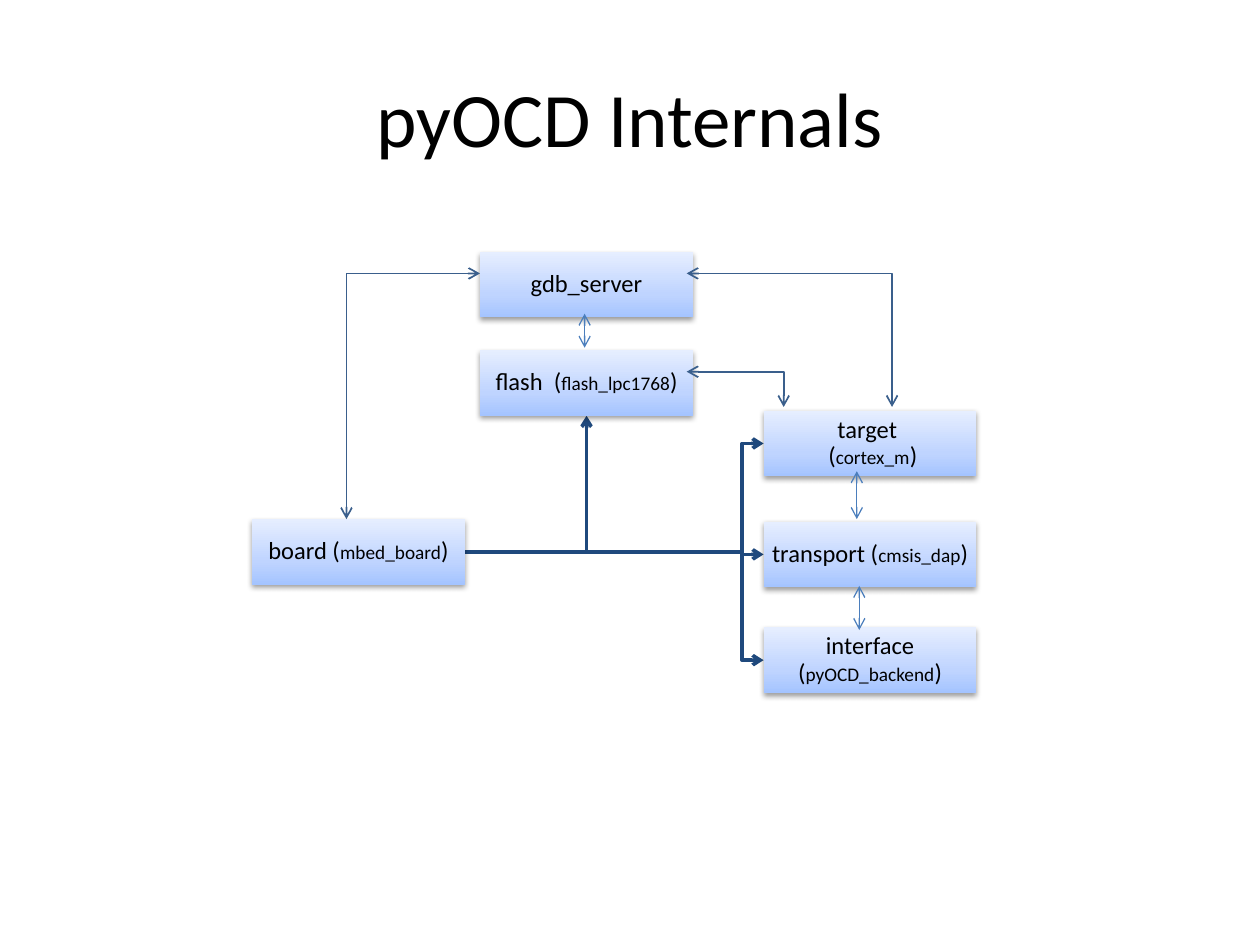
from copy import deepcopy
from dataclasses import dataclass

from lxml import etree
from pptx import Presentation
from pptx.dml.color import RGBColor
from pptx.enum import shapes, text
from pptx.oxml import parse_xml
from pptx.oxml.ns import nsdecls, qn
from pptx.util import Inches, Pt

Point = tuple[float, float]


@dataclass(frozen=True)
class Theme:
    font: str = "Calibri"
    ink: str = "000000"
    trunk: str = "1F497D"
    route: str = "3A5F8C"
    link: str = "4B7EBC"
    stops: tuple = ((0, "A4C4FF"), (35, "BFD4FF"), (100, "E6EEFF"))
    title: float = 44
    label: float = 14
    detail: float = 11


@dataclass(frozen=True)
class Box:
    left: float
    top: float
    label: str
    detail: str = ""
    width: float = 1.69
    height: float = 0.52

    @property
    def mid(self) -> float:
        return self.top + self.height / 2


@dataclass(frozen=True)
class Route:
    points: tuple[Point, ...]
    color: str
    weight: float
    double: bool = True


THEME = Theme()
RIGHT = 6.06
CENTER = 3.81
BOARD = Box(2, 4.12, "board (", "mbed_board")
TARGET = Box(RIGHT, 3.26, "target \n (", "cortex_m")
MOVER = Box(RIGHT, 4.14, "transport (", "cmsis_dap")
FACE = Box(RIGHT, 4.98, "interface\n(", "pyOCD_backend")
FLASH = Box(CENTER, 2.78, "flash  (", "flash_lpc1768")
SERVER = Box(CENTER, 2, "gdb_server")
BOXES = (BOARD, TARGET, MOVER, FACE, FLASH, SERVER)

START = (BOARD.left + BOARD.width, BOARD.mid)
BEND = 5.89
STEM = CENTER + FLASH.width / 2


def trunk(*points: Point) -> Route:
    return Route((START, *points), THEME.trunk, 2, False)


TRUNKS = (
    trunk((STEM, BOARD.mid), (STEM, FLASH.top + FLASH.height)),
    *(trunk((BEND, BOARD.mid), (BEND, box.mid), (RIGHT, box.mid))
      for box in (FACE, MOVER, TARGET)),
)
LINKS = tuple(
    Route(((x, top), (x, end)), THEME.link, 0.75)
    for x, top, end in ((4.64, 2.49, 2.76), (6.8, 3.74, 4.12), (6.82, 4.65, 5))
)
ROUTES = tuple(
    Route((start, (end[0], start[1]), end), THEME.route, 1)
    for start, end in (
        ((CENTER, 2.17), (2.75, BOARD.top)),
        ((5.45, 2.17), (7.08, 3.23)),
        ((5.45, 2.95), (6.22, 3.23)),
    )
)


def write(para, words: str, *, size: float, color: str = THEME.ink) -> None:
    for i, line in enumerate(words.split("\n")):
        if i:
            para.add_line_break()
            para._p.findall(qn("a:br"))[-1].append(deepcopy(run._r.rPr))
        run = para.add_run()
        run.text = line
        run.font.name = THEME.font
        run.font.size = Pt(size)
        run.font.color.rgb = RGBColor.from_string(color)


def shade(shape) -> None:
    shape.fill.gradient()
    shape.fill.gradient_angle = 90
    stops = shape._element.spPr.find(qn("a:gradFill")).find(qn("a:gsLst"))
    for stop in list(stops):
        stops.remove(stop)
    for pos, color in THEME.stops:
        stop = etree.SubElement(stops, qn("a:gs"), pos=str(pos * 1000))
        etree.SubElement(stop, qn("a:srgbClr"), val=color)
    shape.line.fill.background()
    shape._element.spPr.append(parse_xml(
        f'<a:effectLst {nsdecls("a")}>'
        '<a:outerShdw blurRad="40000" dist="20000" dir="5400000" rotWithShape="0">'
        '<a:srgbClr val="000000"><a:alpha val="38000"/></a:srgbClr>'
        '</a:outerShdw></a:effectLst>'))


def draw_box(slide, box: Box) -> None:
    shape = slide.shapes.add_shape(
        shapes.MSO_SHAPE.RECTANGLE, Inches(box.left), Inches(box.top),
        Inches(box.width), Inches(box.height))
    shade(shape)
    frame = shape.text_frame
    frame.word_wrap = True
    frame.vertical_anchor = text.MSO_ANCHOR.MIDDLE
    frame.margin_left = frame.margin_right = Inches(0.01)
    frame.margin_top = frame.margin_bottom = Inches(0.01)
    para = frame.paragraphs[0]
    para.alignment = text.PP_ALIGN.CENTER
    para.line_spacing = 0.9
    write(para, box.label, size=THEME.label)
    if box.detail:
        write(para, box.detail, size=THEME.detail)
        write(para, ")", size=THEME.label)


def draw_route(slide, route: Route) -> None:
    points = [(Inches(x), Inches(y)) for x, y in route.points]
    if len(points) == 2:
        shape = slide.shapes.add_connector(
            shapes.MSO_CONNECTOR.STRAIGHT, *points[0], *points[1])
    else:
        pen = slide.shapes.build_freeform(*points[0])
        pen.add_line_segments(points[1:], close=False)
        shape = pen.convert_to_shape()
        shape.fill.background()
    shape.line.color.rgb = RGBColor.from_string(route.color)
    shape.line.width = Pt(route.weight)
    line = shape._element.spPr.find(qn("a:ln"))
    for end in ("a:headEnd", "a:tailEnd") if route.double else ("a:tailEnd",):
        etree.SubElement(line, qn(end), type="arrow")
    etree.SubElement(shape._element.spPr, qn("a:effectLst"))


def main() -> None:
    deck = Presentation()
    deck.slide_width, deck.slide_height = Inches(10), Inches(7.5)
    slide = deck.slides.add_slide(deck.slide_layouts[5])
    title = slide.shapes.title
    title.left, title.top = Inches(0.5), Inches(0.3)
    title.width, title.height = Inches(9), Inches(1.25)
    title.text_frame.vertical_anchor = text.MSO_ANCHOR.MIDDLE
    para = title.text_frame.paragraphs[0]
    para.alignment = text.PP_ALIGN.CENTER
    write(para, "pyOCD Internals", size=THEME.title)
    for route in TRUNKS:
        draw_route(slide, route)
    for box in BOXES:
        draw_box(slide, box)
    for route in LINKS + ROUTES:
        draw_route(slide, route)
    deck.save("out.pptx")


if __name__ == "__main__":
    main()
